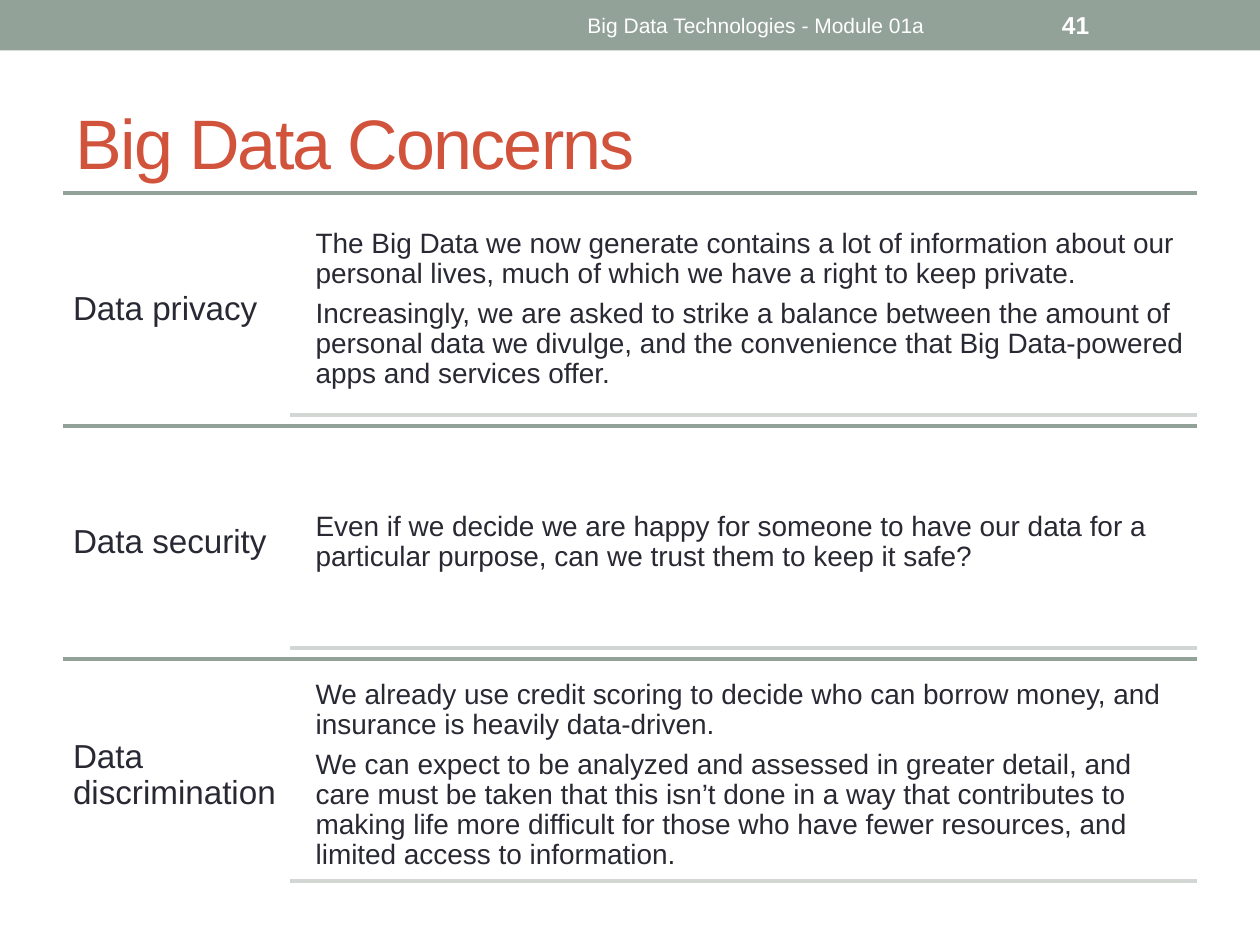
import pptx
import pptx.util
import pptx.dml.color
import pptx.enum.shapes
import pptx.enum.text
import pptx.oxml.ns
import lxml.etree

Inch = pptx.util.Inches
Pt = pptx.util.Pt
RGB = pptx.dml.color.RGBColor
Align = pptx.enum.text.PP_ALIGN

SAGE = RGB(0x93, 0xA2, 0x99)
PALE = RGB(0xD2, 0xD7, 0xD4)
RUST = RGB(0xD2, 0x53, 0x3C)
INK = RGB(0x29, 0x29, 0x34)
WHITE = RGB(0xFF, 0xFF, 0xFF)

WIDE, HIGH = 10, 7.5
EDGE = WIDE / 20
SPAN = WIDE - 2 * EDGE

ROWS = [
    ("Data privacy", [
        "The Big Data we now generate contains a lot of information about our "
        "personal lives, much of which we have a right to keep private.",
        "Increasingly, we are asked to strike a balance between the amount of "
        "personal data we divulge, and the convenience that Big Data-powered "
        "apps and services offer."]),
    ("Data security", [
        "Even if we decide we are happy for someone to have our data for a "
        "particular purpose, can we trust them to keep it safe?"]),
    ("Data discrimination", [
        "We already use credit scoring to decide who can borrow money, and "
        "insurance is heavily data-driven.",
        "We can expect to be analyzed and assessed in greater detail, and care "
        "must be taken that this isn’t done in a way that contributes to making "
        "life more difficult for those who have fewer resources, and limited "
        "access to information."]),
]


def style(para, size, color, bold=False):
    font = para.font
    font.name, font.size, font.bold = "Arial", Pt(size), bold
    font.color.rgb = color


def write(slide, box, texts, size, color, pad=None, align=Align.LEFT,
          bold=False, tight=False):
    """Add a middle-anchored text box; pad is its inset on all sides."""
    frame = slide.shapes.add_textbox(*map(Inch, box)).text_frame
    frame.word_wrap = True
    frame.vertical_anchor = pptx.enum.text.MSO_ANCHOR.MIDDLE
    if pad is not None:
        frame.margin_left = frame.margin_right = Inch(pad)
        frame.margin_top = frame.margin_bottom = Inch(pad)
    frame.text = "\n".join(texts)
    for para in frame.paragraphs:
        para.alignment = align
        if tight:
            para.line_spacing = 0.9
            para.space_after = Pt(0.35 * size)
        style(para, size, color, bold)


def rule(slide, left, right, y, color):
    """Add a flat horizontal line."""
    line = slide.shapes.add_connector(
        pptx.enum.shapes.MSO_CONNECTOR.STRAIGHT,
        Inch(left), Inch(y), Inch(right), Inch(y))
    line.line.color.rgb = color
    line.line.width = Pt(2.08)
    lxml.etree.SubElement(line._element.spPr, pptx.oxml.ns.qn("a:effectLst"))


def header(slide, left, top, width, height):
    """Coloured band with footer text and page number."""
    band = slide.shapes.add_shape(
        pptx.enum.shapes.MSO_SHAPE.RECTANGLE,
        *map(Inch, (left, top, width, height)))
    band.shadow.inherit = False
    band.fill.solid()
    band.fill.fore_color.rgb = SAGE
    band.line.fill.background()
    y, tall = top + 0.05 * height, 0.9 * height
    write(slide, (left + 0.375 * width, y, 0.45 * width, tall),
          ["Big Data Technologies - Module 01a"], 12, WHITE, align=Align.CENTER)
    write(slide, (left + 0.833 * width, y, 0.117 * width, tall),
          ["41"], 14, WHITE, bold=True)


def heading(slide, left, top, width, height):
    """Slide title in its placeholder."""
    title = slide.shapes.title
    title.left, title.top = Inch(left), Inch(top)
    title.width, title.height = Inch(width), Inch(height)
    frame = title.text_frame
    frame.text = "Big Data Concerns"
    frame.auto_size = pptx.enum.text.MSO_AUTO_SIZE.NONE
    frame.vertical_anchor = pptx.enum.text.MSO_ANCHOR.MIDDLE
    para = frame.paragraphs[0]
    para.alignment = Align.LEFT
    style(para, 40, RUST)
    para.runs[0]._r.get_or_add_rPr().set("spc", "-100")


def concern(slide, left, top, width, height, label, notes):
    """One row: label in the first fifth, notes in the rest."""
    right, split = left + width, left + width / 5
    gap = 0.045 * height
    rule(slide, left, right, top, SAGE)
    write(slide, (left, top, width / 5, height), [label], 19, INK,
          pad=0.08, tight=True)
    write(slide, (split + 0.135, top + gap, 0.785 * width, height - 2 * gap),
          notes, 16, INK, pad=0.07, tight=True)
    rule(slide, split, right, top + height - 2 * gap + 0.08, PALE)


def main():
    deck = pptx.Presentation()
    deck.slide_width, deck.slide_height = Inch(WIDE), Inch(HIGH)
    slide = deck.slides.add_slide(deck.slide_layouts[5])
    header(slide, 0, 0, WIDE, 0.4)
    heading(slide, EDGE, 0.58, SPAN, 1.08)
    top, step = 1.53, 1.85
    for i, (label, notes) in enumerate(ROWS):
        concern(slide, EDGE, top + i * step, SPAN, step, label, notes)
    deck.save("out.pptx")


if __name__ == "__main__":
    main()
